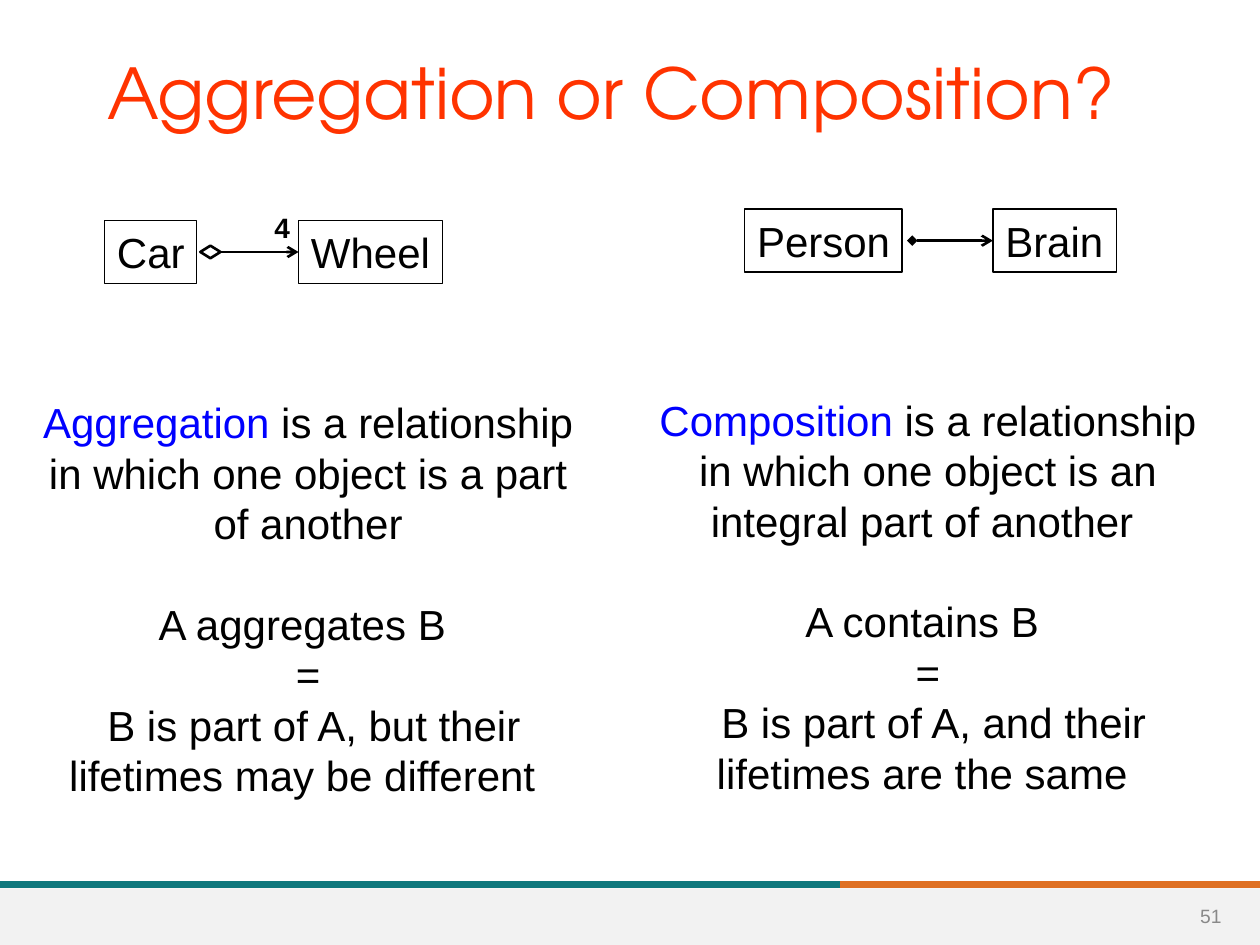
from lxml import etree
from pptx import Presentation
from pptx.dml.color import RGBColor
from pptx.enum.shapes import MSO_CONNECTOR, MSO_SHAPE
from pptx.enum.text import MSO_ANCHOR, MSO_AUTO_SIZE, PP_ALIGN
from pptx.oxml.ns import qn
from pptx.util import Inches, Pt

BLACK, BLUE, RED = "000000", "0000FF", "FF3300"
TEAL, ORANGE, PALE, GREY = "0F787D", "DF7023", "F2F2F2", "898989"

TITLE = "Aggregation or Composition?"
PAGE_NUMBER = "51"
# box (left, top, width, height), term, rest of the definition, further lines
DEFINITIONS = [
    ((0.2, 3.1, 4.49, 3.3), "Aggregation",
     " is a relationship in which one object is a part of another",
     ["A aggregates B ", "=",
      " B is part of A, but their lifetimes may be different "]),
    ((5, 3.08, 4.73, 3.3), "Composition",
     " is a relationship in which one object is an integral part of another ",
     ["A contains B ", "=",
      " B is part of A, and their lifetimes are the same "]),
]
CLASS_HEIGHT = 0.5
# top, (whole, left, width), (part, left, width), line start
RELATIONS = {
    "aggregation": (1.75, ("Car", 0.83, 0.73), ("Wheel", 2.37, 1.14), 1.75),
    "composition": (1.66, ("Person", 5.91, 1.25), ("Brain", 7.88, 0.98), 7.24),
}
MULTIPLICITY = ("4", (2.08, 1.62, 0.32, 0.37))
DIAMOND = (0.16, 0.1)
FOOTER_SPLIT, FOOTER_LINE, FOOTER_TOP = 6.67, 7.02, 7.05


def rgb(value):
    return RGBColor.from_string(value)


def box(values):
    return [Inches(value) for value in values]


def add_run(paragraph, text, size=24, color=BLACK, font="Arial", bold=False):
    run = paragraph.add_run()
    run.text = text
    for name, value in {"size": Pt(size), "name": font, "bold": bold}.items():
        setattr(run.font, name, value)
    run.font.color.rgb = rgb(color)


def format_frame(frame, **values):
    for name, value in values.items():
        setattr(frame, name, value)


def add_outline(kind, place, fill=None, line=None, width=0.75):
    shape = slide.shapes.add_shape(kind, *box(place))
    shape.shadow.inherit = False
    for part, color in ((shape.fill, fill), (shape.line.fill, line)):
        if color:
            part.solid()
            part.fore_color.rgb = rgb(color)
        else:
            part.background()
    if line:
        shape.line.width = Pt(width)
    return shape


def add_line(start, end, color, width, **arrowheads):
    """Draw a line; arrowheads maps headEnd or tailEnd to an arrow type."""
    line = slide.shapes.add_connector(MSO_CONNECTOR.STRAIGHT, *box(start + end))
    line.line.color.rgb = rgb(color)
    line.line.width = Pt(width)
    for tag in ("headEnd", "tailEnd"):
        if tag in arrowheads:
            etree.SubElement(line.line._ln, qn("a:" + tag), type=arrowheads[tag])
    etree.SubElement(line._element.spPr, qn("a:effectLst"))
    return line


def add_class(name, left, top, width):
    shape = add_outline(MSO_SHAPE.RECTANGLE, (left, top, width, CLASS_HEIGHT),
                        line=BLACK)
    format_frame(shape.text_frame, word_wrap=False,
                 vertical_anchor=MSO_ANCHOR.TOP)
    paragraph = shape.text_frame.paragraphs[0]
    paragraph.alignment = PP_ALIGN.LEFT
    add_run(paragraph, name)
    return shape


def add_relation(kind, top, whole, part, line_start):
    name, left, width = whole
    add_class(name, left, top, width)
    name, part_left, part_width = part
    part_class = add_class(name, part_left, top, part_width)
    middle = top + CLASS_HEIGHT / 2
    heads = {"tailEnd": "arrow"}
    if kind == "composition":
        heads["headEnd"] = "diamond"
    else:
        wide, high = DIAMOND
        add_outline(MSO_SHAPE.DIAMOND,
                    (line_start - wide, middle - high / 2, wide, high),
                    line=BLACK, width=1.5)
    line = add_line((line_start, middle), (part_left, middle), BLACK, 1.5, **heads)
    line.end_connect(part_class, 1)


def add_definition(place, term, meaning, lines):
    frame = slide.shapes.add_textbox(*box(place)).text_frame
    format_frame(frame, word_wrap=True, vertical_anchor=MSO_ANCHOR.MIDDLE)
    paragraph = frame.paragraphs[0]
    add_run(paragraph, term, color=BLUE)
    add_run(paragraph, meaning)
    for text in lines:
        add_run(frame.add_paragraph(), text)
    for paragraph in frame.paragraphs:
        paragraph.alignment = PP_ALIGN.CENTER
    frame.paragraphs[1].space_before = Pt(28.8)


prs = Presentation()
prs.slide_width, prs.slide_height = Inches(10), Inches(7.5)
slide = prs.slides.add_slide(prs.slide_layouts[5])

add_line((FOOTER_SPLIT, FOOTER_LINE), (10, FOOTER_LINE), ORANGE, 4)
add_line((0, FOOTER_LINE), (FOOTER_SPLIT, FOOTER_LINE), TEAL, 4)
add_outline(MSO_SHAPE.RECTANGLE, (0, FOOTER_TOP, 10, 7.5 - FOOTER_TOP), fill=PALE)
number = slide.shapes.add_textbox(*box((9.35, 7.07, 0.52, 0.4))).text_frame
format_frame(number, word_wrap=True, vertical_anchor=MSO_ANCHOR.MIDDLE)
number.paragraphs[0].alignment = PP_ALIGN.CENTER
add_run(number.paragraphs[0], PAGE_NUMBER, 11, GREY)

title = slide.shapes.title
title.left, title.top, title.width, title.height = box((0.75, 0.37, 8.5, 0.71))
format_frame(title.text_frame, word_wrap=True, auto_size=MSO_AUTO_SIZE.NONE,
             vertical_anchor=MSO_ANCHOR.MIDDLE)
title.text_frame.paragraphs[0].alignment = PP_ALIGN.LEFT
add_run(title.text_frame.paragraphs[0], TITLE, 40, RED, "TeX Gyre Adventor")

for definition in DEFINITIONS:
    add_definition(*definition)
for kind, relation in RELATIONS.items():
    add_relation(kind, *relation)

count, place = MULTIPLICITY
multiplicity = slide.shapes.add_textbox(*box(place)).text_frame
multiplicity.word_wrap = False
add_run(multiplicity.paragraphs[0], count, 16, bold=True)

prs.save("out.pptx")
